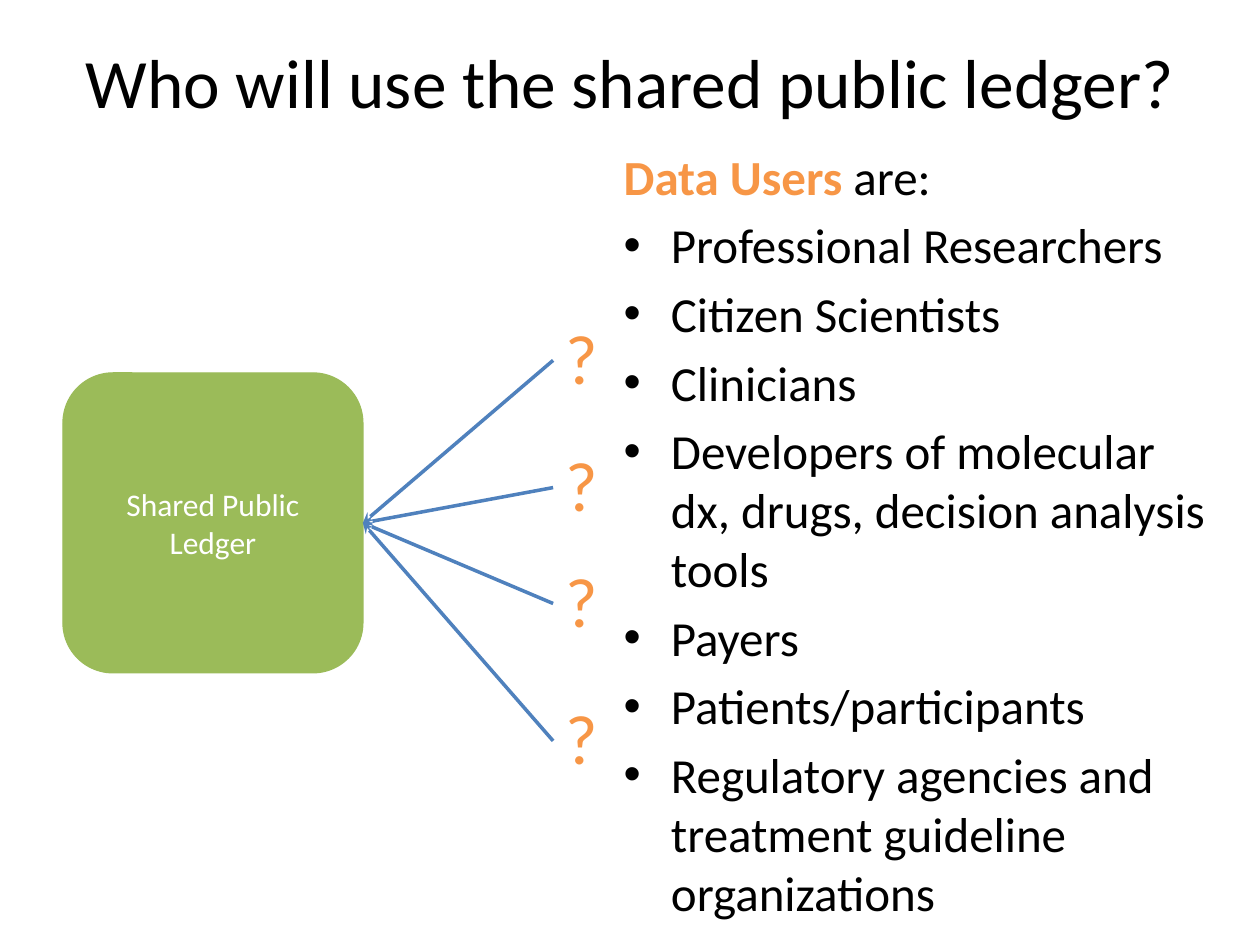
from lxml import etree
from pptx import Presentation
from pptx.dml.color import RGBColor
from pptx.enum.shapes import MSO_CONNECTOR, MSO_SHAPE
from pptx.enum.text import MSO_ANCHOR, MSO_AUTO_SIZE, PP_ALIGN
from pptx.oxml.ns import qn
from pptx.util import Inches, Pt

TITLE = "Who will use the shared public ledger?"
LEDGER = "Shared Public Ledger"
USERS = [
    "Professional Researchers",
    "Citizen Scientists",
    "Clinicians",
    "Developers of molecular dx, drugs, decision analysis tools",
    "Payers",
    "Patients/participants",
    "Regulatory agencies and treatment guideline organizations",
]
QUESTION_CENTERS = [2.86, 3.87, 4.79, 5.88]

FONT = "Calibri"
BLACK = RGBColor(0x00, 0x00, 0x00)
WHITE = RGBColor(0xFF, 0xFF, 0xFF)
ORANGE = RGBColor(0xF7, 0x96, 0x46)
GREEN = RGBColor(0x9B, 0xBB, 0x59)
BLUE = RGBColor(0x4F, 0x81, 0xBD)

ROUNDED = MSO_SHAPE.ROUNDED_RECTANGLE
STRAIGHT = MSO_CONNECTOR.STRAIGHT
MIDDLE = MSO_ANCHOR.MIDDLE
TOP = MSO_ANCHOR.TOP
CENTER = PP_ALIGN.CENTER
NO_FIT = MSO_AUTO_SIZE.NONE

SLIDE_WIDTH, SLIDE_HEIGHT = 10, 7.5
MARGIN = SLIDE_WIDTH / 20
LEDGER_SIZE, LEDGER_TOP = 2.38, 2.96
LEDGER_RIGHT = MARGIN + LEDGER_SIZE
LEDGER_MIDDLE = LEDGER_TOP + LEDGER_SIZE / 2
LIST_LEFT = 4.85
QUESTION_WIDTH, QUESTION_HEIGHT = 0.46, 0.73
QUESTION_LEFT = LIST_LEFT - QUESTION_WIDTH


def place(shape, left, top, width, height):
    shape.left, shape.top = Inches(left), Inches(top)
    shape.width, shape.height = Inches(width), Inches(height)


def add_run(paragraph, text, size, color, bold=False):
    run = paragraph.add_run()
    run.text = text
    font = run.font
    font.name, font.size, font.bold = FONT, Pt(size), bold
    font.color.rgb = color


def add_title(slide):
    title = slide.shapes.title
    place(title, MARGIN, 0.02, SLIDE_WIDTH - 2 * MARGIN, 1.25)
    frame = title.text_frame
    frame.auto_size, frame.vertical_anchor = NO_FIT, MIDDLE
    paragraph = frame.paragraphs[0]
    paragraph.alignment = CENTER
    add_run(paragraph, TITLE, 39.6, BLACK)


def add_users(slide):
    body = slide.placeholders[1]
    place(body, LIST_LEFT, 1.11, 4.97, 4.95)
    frame = body.text_frame
    frame.auto_size, frame.vertical_anchor = NO_FIT, TOP
    heading = frame.paragraphs[0]
    heading.space_before = Pt(0)
    properties = heading._p.get_or_add_pPr()
    properties.set("marL", "0")
    properties.set("indent", "0")
    etree.SubElement(properties, qn("a:buNone"))
    add_run(heading, "Data Users", 28, ORANGE, bold=True)
    add_run(heading, " are:", 28, BLACK)
    for user in USERS:
        paragraph = frame.add_paragraph()
        paragraph.space_before = Pt(5.6)
        add_run(paragraph, user, 28, BLACK)


def add_ledger(slide):
    ledger = slide.shapes.add_shape(
        ROUNDED, Inches(MARGIN), Inches(LEDGER_TOP), Inches(LEDGER_SIZE), Inches(LEDGER_SIZE))
    ledger.shadow.inherit = False
    ledger.fill.solid()
    ledger.fill.fore_color.rgb = GREEN
    ledger.line.color.rgb = GREEN
    ledger.line.width = Pt(0.75)
    frame = ledger.text_frame
    frame.word_wrap, frame.vertical_anchor = True, MIDDLE
    paragraph = frame.paragraphs[0]
    paragraph.alignment = CENTER
    add_run(paragraph, LEDGER, 18, WHITE)


def add_question(slide, center):
    box = slide.shapes.add_textbox(
        Inches(QUESTION_LEFT), Inches(center - QUESTION_HEIGHT / 2),
        Inches(QUESTION_WIDTH), Inches(QUESTION_HEIGHT))
    frame = box.text_frame
    frame.margin_top = 0
    frame.word_wrap = False
    add_run(frame.paragraphs[0], "?", 40, ORANGE)


def add_arrow(slide, center):
    arrow = slide.shapes.add_connector(
        STRAIGHT, Inches(QUESTION_LEFT), Inches(center),
        Inches(LEDGER_RIGHT), Inches(LEDGER_MIDDLE))
    arrow.line.color.rgb = BLUE
    arrow.line.width = Pt(2)
    etree.SubElement(arrow.line._get_or_add_ln(), qn("a:tailEnd"), type="stealth")
    etree.SubElement(arrow._element.spPr, qn("a:effectLst"))


def main():
    presentation = Presentation()
    presentation.slide_width = Inches(SLIDE_WIDTH)
    presentation.slide_height = Inches(SLIDE_HEIGHT)
    slide = presentation.slides.add_slide(presentation.slide_layouts[1])
    add_title(slide)
    add_users(slide)
    add_ledger(slide)
    for add_part in (add_question, add_arrow):
        for center in QUESTION_CENTERS:
            add_part(slide, center)
    presentation.save("out.pptx")


if __name__ == "__main__":
    main()
